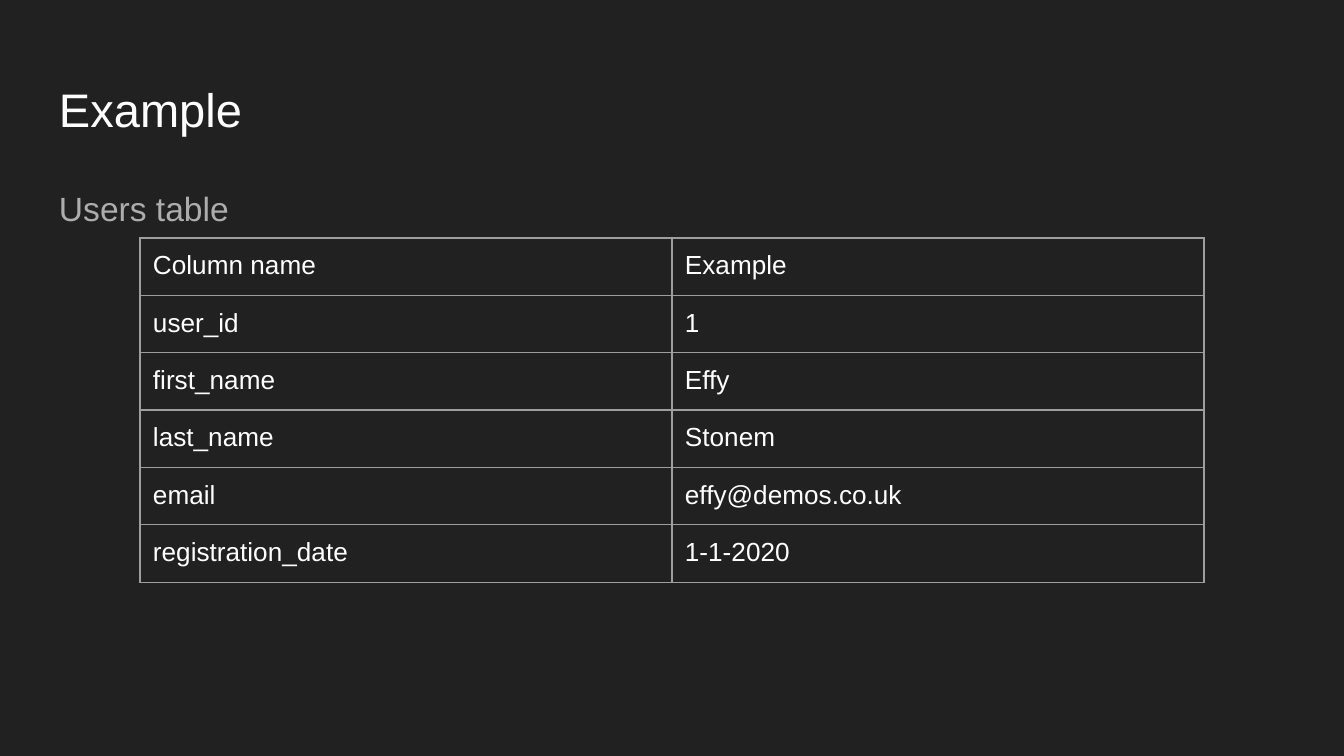
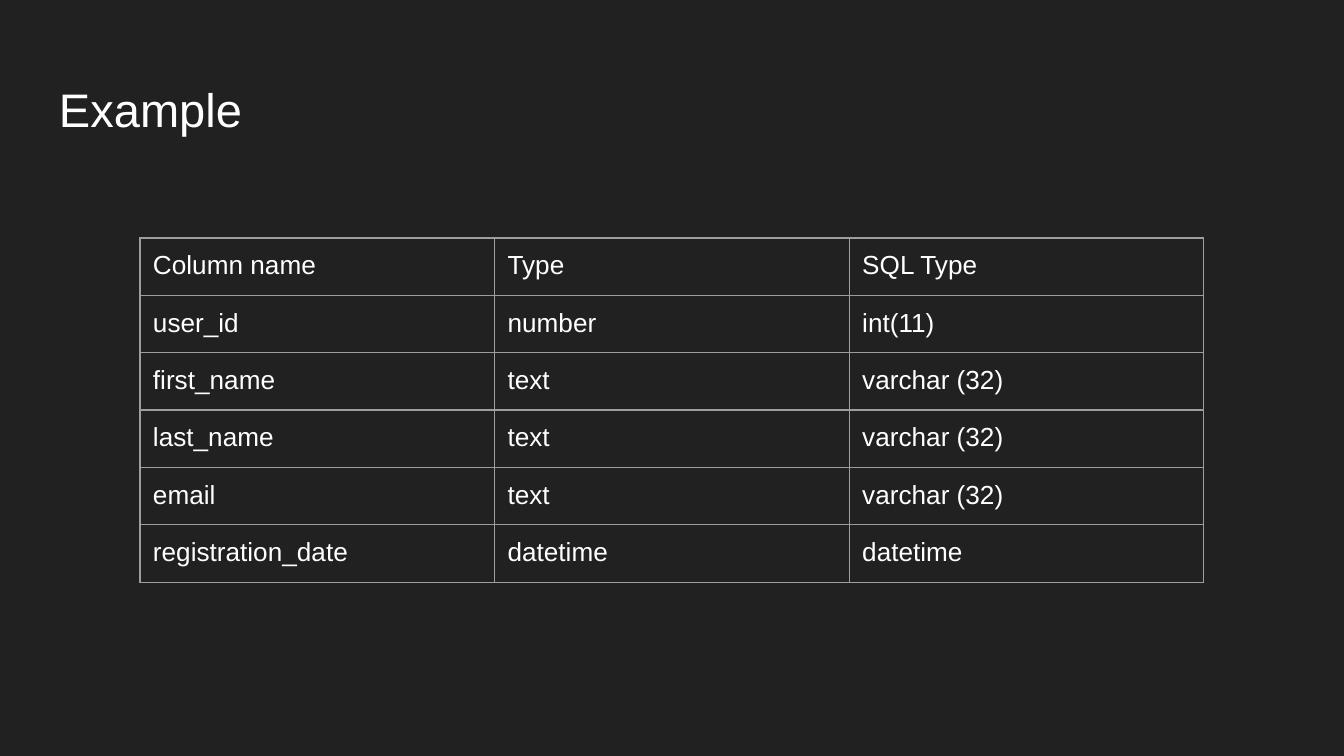
from lxml.etree import SubElement
from pptx import Presentation
from pptx.dml.color import RGBColor
from pptx.enum.text import MSO_ANCHOR
from pptx.oxml.ns import qn
from pptx.util import Pt

PX = 914400 / 134.4
SLIDE_WIDTH, SLIDE_HEIGHT = 1344, 756
INSET = 13
ROW_HEIGHT = 56
BORDER_WIDTH = Pt(0.75)
FONT = "Arial"

COLOURS = {
    "background": "212121",
    "text": "FFFFFF",
    "subtitle": "ADADAD",
    "border": "9E9E9E",
}
TITLE_BOX = (46, 66, 1252, 85)
BODY_BOX = (46, 169, 1252, 503)
TABLE_BOX = (140, 238, 1064, 6 * ROW_HEIGHT)

TITLE_FORMAT = {"size": Pt(25.2), "colour": "text", "paragraph": {}}
BODY_FORMAT = {
    "size": Pt(18),
    "colour": "subtitle",
    "paragraph": {"line_spacing": 1.15, "space_after": Pt(12)},
}
CELL_FORMAT = {"size": Pt(14), "colour": "text", "paragraph": {}}

USER_EXAMPLE = [
    ("Column name", "Example"),
    ("user_id", "1"),
    ("first_name", "Effy"),
    ("last_name", "Stonem"),
    ("email", "effy@demos.co.uk"),
    ("registration_date", "1-1-2020"),
]
USER_TYPES = [
    ("Column name", "Type", "SQL Type"),
    ("user_id", "number", "int(11)"),
    ("first_name", "text", "varchar (32)"),
    ("last_name", "text", "varchar (32)"),
    ("email", "text", "varchar (32)"),
    ("registration_date", "datetime", "datetime"),
]


def emu(pixels):
    """Convert px to EMU."""
    return round(pixels * PX)


def colour(name):
    """Return the named palette colour."""
    return RGBColor.from_string(COLOURS[name])


def set_attributes(target, values):
    """Set every attribute listed in a dict."""
    for name, value in values.items():
        setattr(target, name, value)


def set_insets(target):
    """Give a text frame or a cell equal margins."""
    sides = ("left", "top", "right", "bottom")
    set_attributes(target, {f"margin_{side}": emu(INSET) for side in sides})


def write_text(frame, text, style):
    """Write one formatted paragraph into a text frame."""
    paragraph = frame.paragraphs[0]
    set_attributes(paragraph, style["paragraph"])
    run = paragraph.add_run()
    run.text = text
    set_attributes(run.font, {"name": FONT, "size": style["size"], "bold": False})
    run.font.color.rgb = colour(style["colour"])


def add_text(slide, box, text, style, anchor=MSO_ANCHOR.TOP):
    """Place a wrapped text box."""
    frame = slide.shapes.add_textbox(*map(emu, box)).text_frame
    set_attributes(frame, {"word_wrap": True, "vertical_anchor": anchor})
    set_insets(frame)
    write_text(frame, text, style)


def add_borders(cell):
    """Draw a thin line on all four sides of a cell."""
    properties = cell._tc.get_or_add_tcPr()
    for side in ("lnL", "lnR", "lnT", "lnB"):
        line = SubElement(properties, qn(f"a:{side}"), w=str(BORDER_WIDTH))
        fill = SubElement(line, qn("a:solidFill"))
        SubElement(fill, qn("a:srgbClr"), val=COLOURS["border"])


def add_grid(slide, box, rows):
    """Place an unfilled table with equal columns and rows."""
    left, top, width, height = map(emu, box)
    column_count = len(rows[0])
    table = slide.shapes.add_table(
        len(rows), column_count, left, top, width, height
    ).table
    set_attributes(table, {"first_row": False, "horz_banding": False})
    for column in table.columns:
        column.width = width // column_count
    for row, values in zip(table.rows, rows):
        row.height = height // len(rows)
        for cell, value in zip(row.cells, values):
            set_insets(cell)
            write_text(cell.text_frame, value, CELL_FORMAT)
            add_borders(cell)
            cell.fill.background()


def add_example_slide(presentation, rows, body=None):
    """Add a dark slide with a title, an optional subtitle and a table."""
    slide = presentation.slides.add_slide(presentation.slide_layouts[6])
    slide.background.fill.solid()
    slide.background.fill.fore_color.rgb = colour("background")
    add_text(slide, TITLE_BOX, "Example", TITLE_FORMAT, MSO_ANCHOR.MIDDLE)
    if body:
        add_text(slide, BODY_BOX, body, BODY_FORMAT)
    add_grid(slide, TABLE_BOX, rows)


def main():
    """Build and save the presentation."""
    presentation = Presentation()
    size = {"slide_width": emu(SLIDE_WIDTH), "slide_height": emu(SLIDE_HEIGHT)}
    set_attributes(presentation, size)
    add_example_slide(presentation, USER_EXAMPLE, "Users table")
    add_example_slide(presentation, USER_TYPES)
    presentation.save("out.pptx")


if __name__ == "__main__":
    main()
